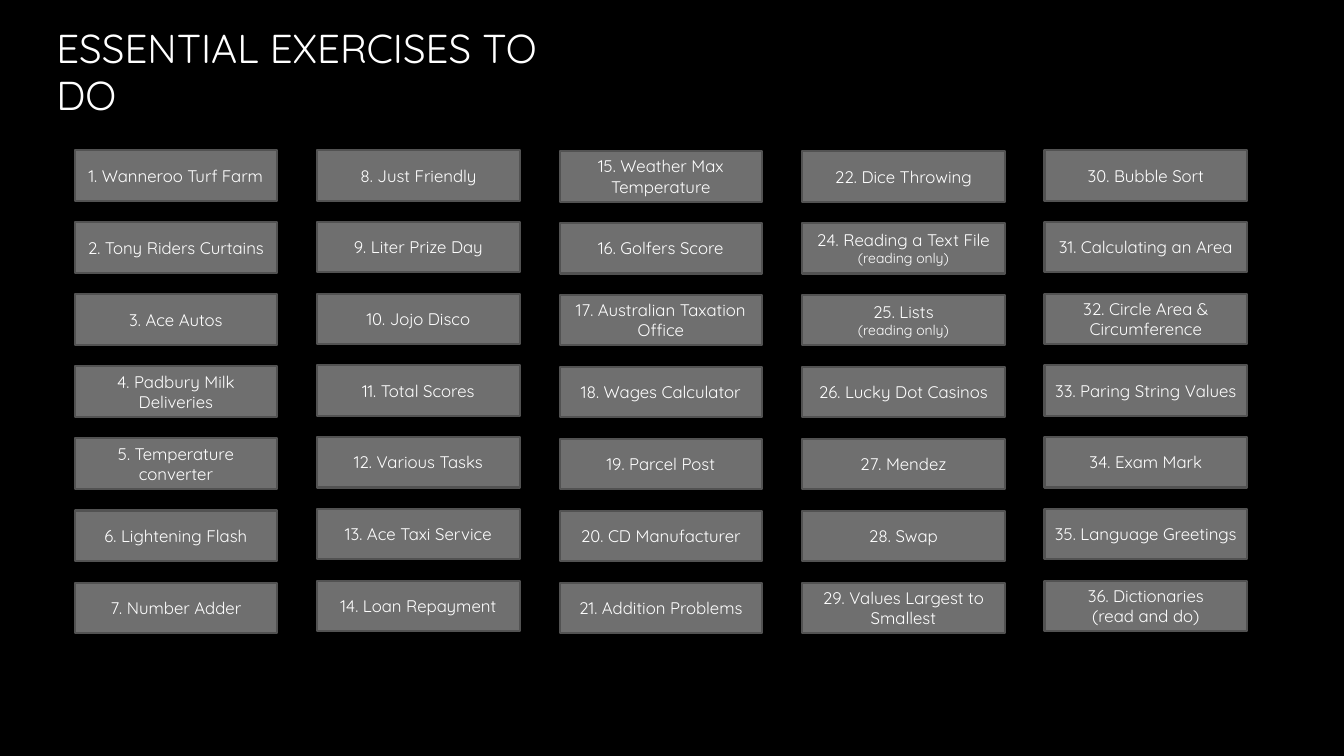
from dataclasses import dataclass

from pptx import Presentation
from pptx import util as u
from pptx.dml.color import RGBColor
from pptx.enum import shapes, text


@dataclass(frozen=True)
class Theme:
    """Colours, typeface and type sizes of the slide."""
    font: str = "Quicksand"
    background: str = "000000"
    button: str = "6F6F6F"
    border: str = "525252"
    ink: str = "FFFFFF"
    fade: str = "A6A6A6"
    title: float = 28.8
    label: float = 12
    note: float = 10


THEME = Theme()
WIDTH, HEIGHT = 13.33, 7.5
TITLE_BOX = (0.46, 0.42, 5.65, 0.61)
BUTTON_WIDTH, BUTTON_HEIGHT = 2.01, 0.5
FIRST_LEFT, LAST_LEFT = 0.74, 10.36
NOTE_MARK = "|"

COLUMNS = [
    (1.49, 5.78, ["1. Wanneroo Turf Farm", "2. Tony Riders Curtains", "3. Ace Autos",
                  "4. Padbury Milk Deliveries", "5. Temperature converter",
                  "6. Lightening Flash", "7. Number Adder"]),
    (1.49, 5.76, ["8. Just Friendly", "9. Liter Prize Day", "10. Jojo Disco",
                  "11. Total Scores", "12. Various Tasks", "13. Ace Taxi Service",
                  "14. Loan Repayment"]),
    (1.5, 5.78, ["15. Weather Max Temperature", "16. Golfers Score",
                 "17. Australian Taxation Office", "18. Wages Calculator",
                 "19. Parcel Post", "20. CD Manufacturer", "21. Addition Problems"]),
    (1.5, 5.78, ["22. Dice Throwing", "24. Reading a Text File |(reading only)",
                 "25. Lists\n|(reading only)", "26. Lucky Dot Casinos", "27. Mendez",
                 "28. Swap", "29. Values Largest to Smallest"]),
    (1.49, 5.76, ["30. Bubble Sort", "31. Calculating an Area",
                  "32. Circle Area & Circumference", "33. Paring String Values",
                  "34. Exam Mark", "35. Language Greetings",
                  "36. Dictionaries\n(read and do)"]),
]


def colour(code):
    """Turn a hex code into a colour."""
    return RGBColor.from_string(code)


def write(frame, wording, *, size, align, spacing=None, fade=None):
    """Write paragraphs, with the part after the note mark in the note size."""
    frame.word_wrap = True
    frame.vertical_anchor = text.MSO_ANCHOR.MIDDLE
    for index, line in enumerate(wording.split("\n")):
        paragraph = frame.add_paragraph() if index else frame.paragraphs[0]
        paragraph.alignment = align
        paragraph.line_spacing = spacing
        main, _, note = line.partition(NOTE_MARK)
        for part, points in ((main, size), (note, THEME.note)):
            if not part:
                continue
            run = paragraph.add_run()
            run.text = part
            run.font.name = THEME.font
            run.font.size = u.Pt(points)
            if fade:
                run.font.fill.gradient()
                run.font.fill.gradient_angle = 267
                for stop, code in zip(run.font.fill.gradient_stops, (THEME.ink, fade)):
                    stop.color.rgb = colour(code)
            else:
                run.font.color.rgb = colour(THEME.ink)


def add_title(slide, box):
    """Place the heading in its box."""
    heading = slide.shapes.add_textbox(*map(u.Inches, box))
    write(heading.text_frame, "ESSENTIAL EXERCISES TO DO", size=THEME.title,
          align=text.PP_ALIGN.LEFT, spacing=0.97, fade=THEME.fade)


def add_exercise(slide, exercise, box):
    """Place one exercise button in its box."""
    button = slide.shapes.add_shape(
        shapes.MSO_SHAPE.ACTION_BUTTON_CUSTOM, *map(u.Inches, box))
    button.shadow.inherit = False
    button.fill.solid()
    button.fill.fore_color.rgb = colour(THEME.button)
    button.line.color.rgb = colour(THEME.border)
    button.line.width = u.Pt(1.5)
    write(button.text_frame, exercise, size=THEME.label, align=text.PP_ALIGN.CENTER)


def add_column(slide, exercises, left, first_top, last_top):
    """Spread exercise buttons evenly down one column."""
    pitch = (last_top - first_top) / (len(exercises) - 1)
    for row, exercise in enumerate(exercises):
        add_exercise(slide, exercise,
                     (left, first_top + row * pitch, BUTTON_WIDTH, BUTTON_HEIGHT))


def main():
    """Build and save the slide."""
    deck = Presentation()
    deck.slide_width, deck.slide_height = u.Inches(WIDTH), u.Inches(HEIGHT)
    slide = deck.slides.add_slide(deck.slide_layouts[6])
    slide.background.fill.solid()
    slide.background.fill.fore_color.rgb = colour(THEME.background)
    add_title(slide, TITLE_BOX)
    pitch = (LAST_LEFT - FIRST_LEFT) / (len(COLUMNS) - 1)
    for index, (first_top, last_top, exercises) in enumerate(COLUMNS):
        add_column(slide, exercises, FIRST_LEFT + index * pitch, first_top, last_top)
    deck.save("out.pptx")


if __name__ == "__main__":
    main()
